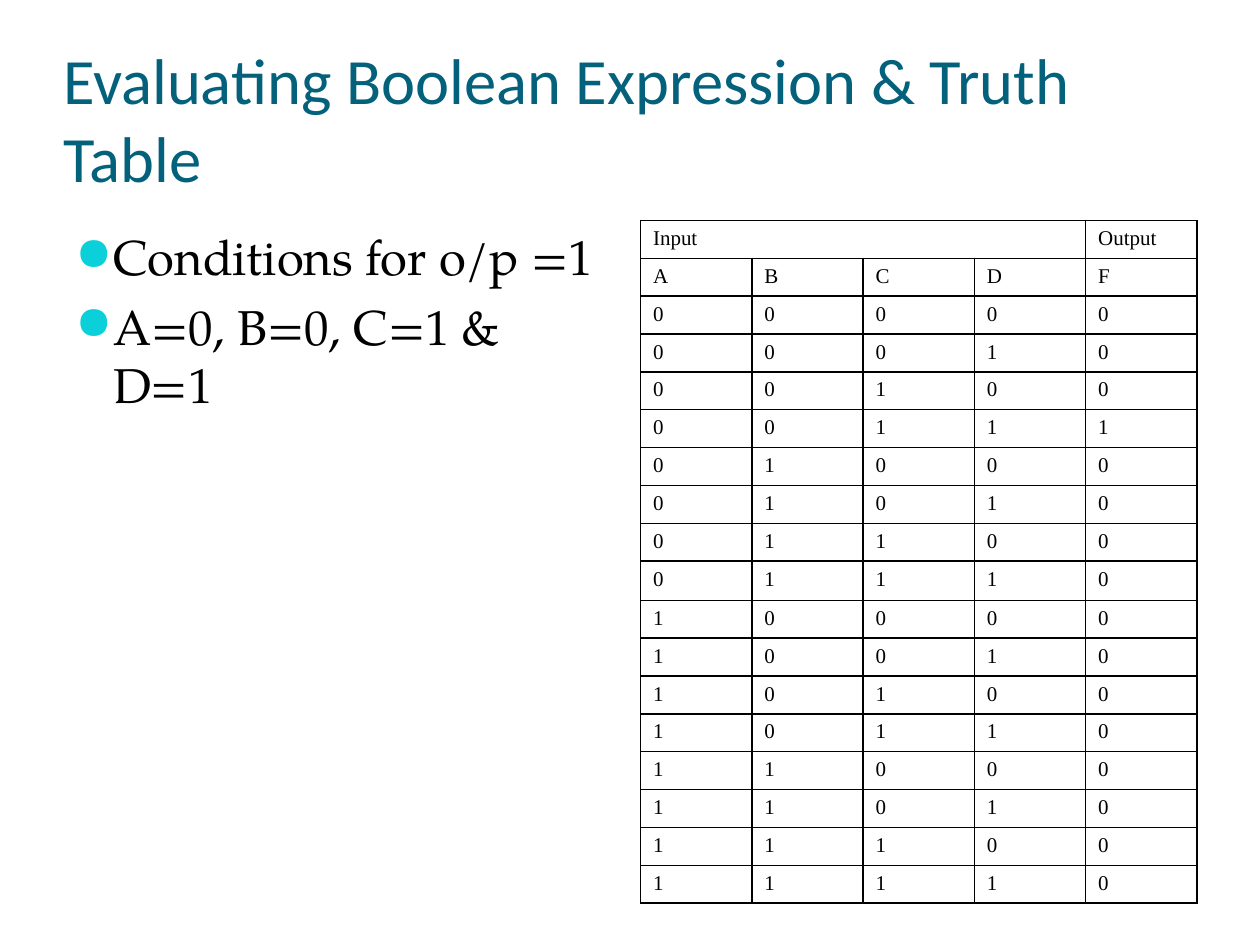
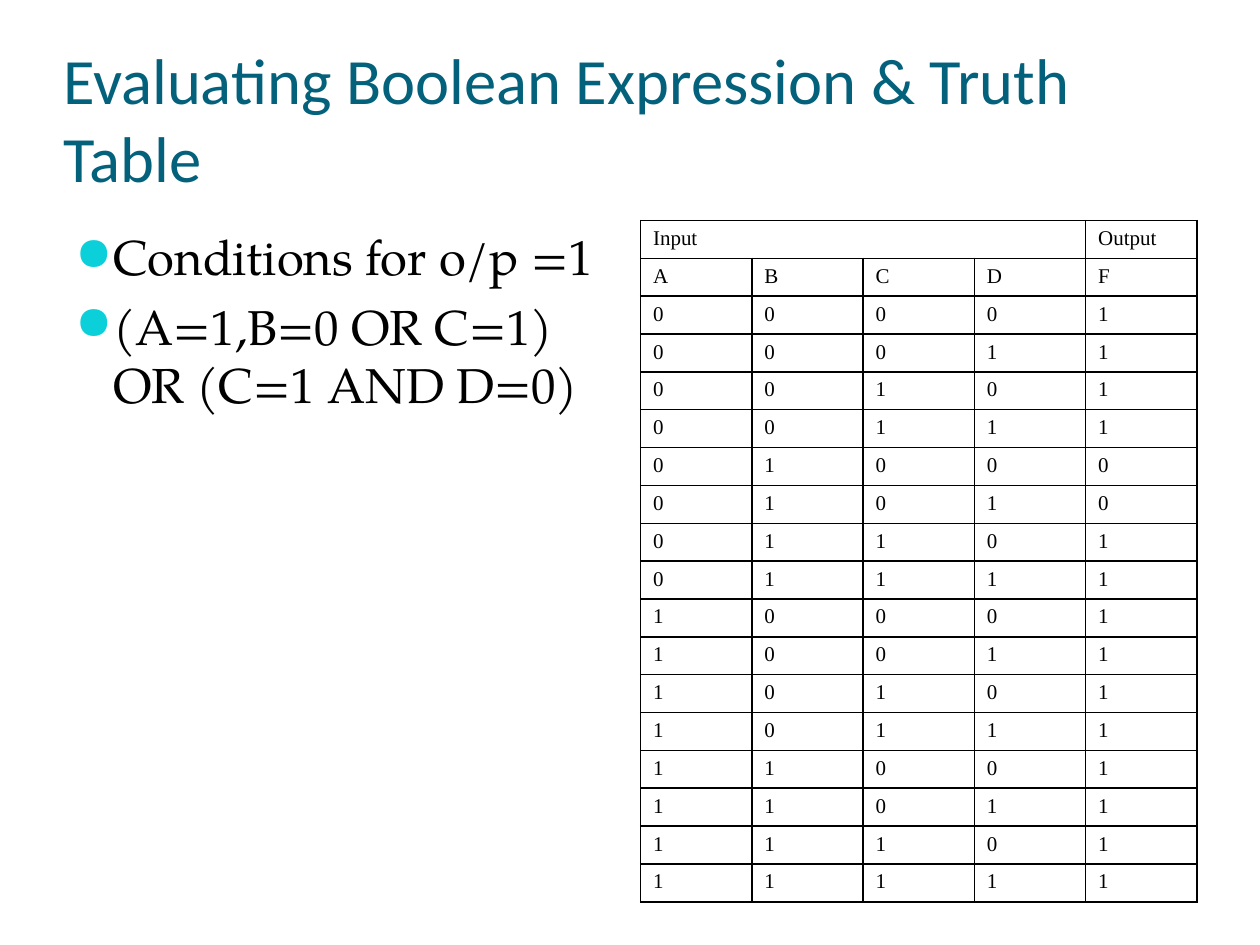
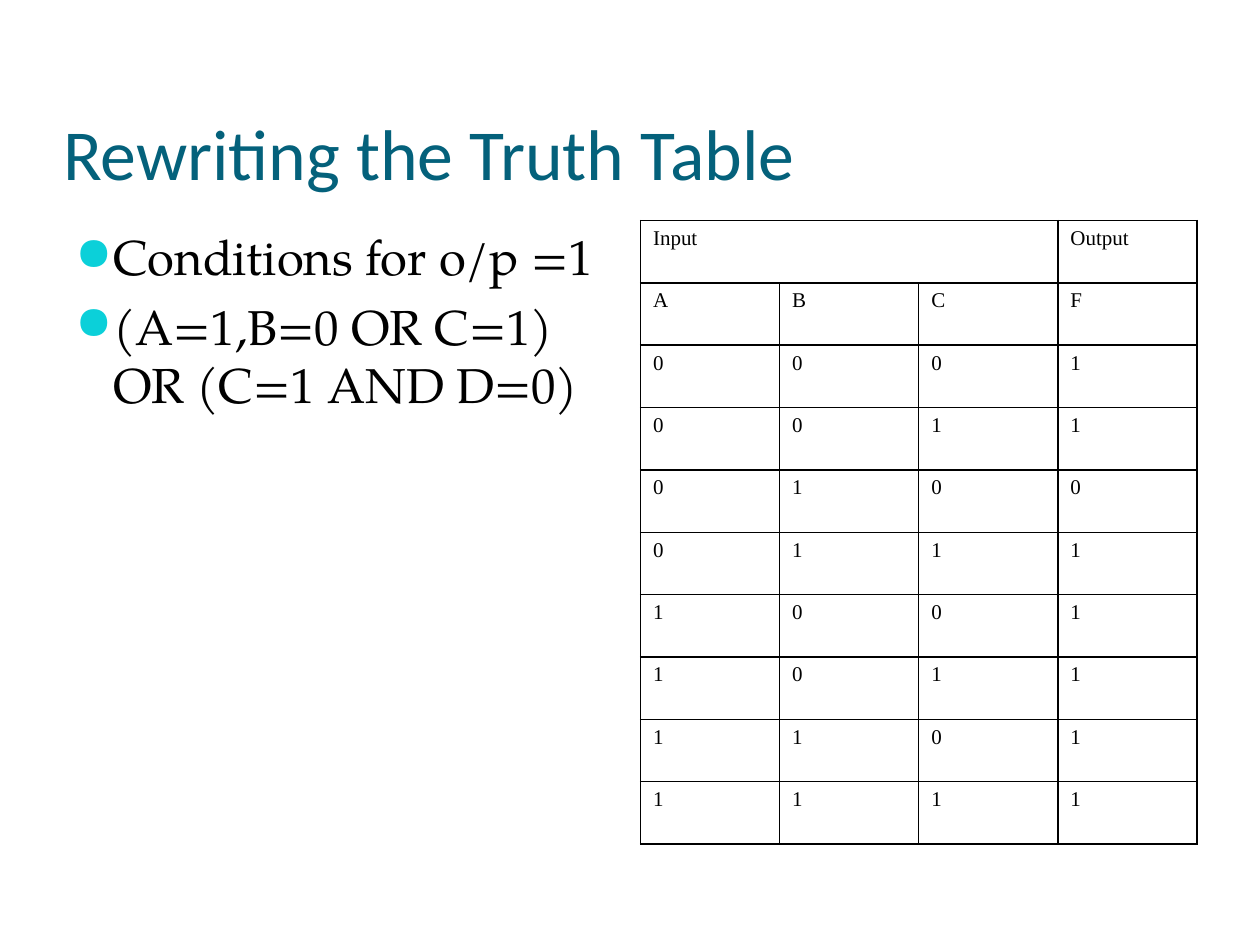
from dataclasses import dataclass
from itertools import product

from lxml import etree
from pptx import Presentation
from pptx.dml.color import RGBColor
from pptx.enum import text as en
from pptx.oxml import ns
from pptx.util import Pt


@dataclass(frozen=True)
class Theme:
    title: str = "04617B"
    ink: str = "000000"
    dot: str = "0BD0D9"
    head: str = "Calibri"
    body: str = "TeX Gyre Pagella"
    grid: str = "Times New Roman"
    big: float = 41
    fit: float = 36.9
    list: float = 28
    cell: float = 12


T = Theme()

# Content: the outputs follow the inputs in counting order
EVAL = "Evaluating Boolean Expression & Truth Table"
COND = "Conditions for o/p =1"
RULE = "(A=1,B=0 OR C=1) OR (C=1 AND D=0)"
SLIDES = [
    dict(title=EVAL, size=T.fit, points=[COND, "A=0, B=0, C=1 & D=1"],
         names="ABCD", out="0001000000000000", tall={9: 22.4}, high=389.5),
    dict(title=EVAL, size=T.fit, points=[COND, RULE],
         names="ABCD", out="1111001111111111", tall={}, high=388.8),
    dict(title="Rewriting the Truth Table", size=T.big, points=[COND, RULE],
         names="ABC", out="11011111", tall={}, high=356.4),
]

# Places: left, top, width, height
HEAD = (36, 21.6, 648, 90)
LIST = (36, 126, 318, 356.4)
GRID = (366, 126, 318, 356.4)


def write(frame, lines, font, size, color, align=en.PP_ALIGN.LEFT,
          before=0, bullet=False):
    """Fill a text frame with one paragraph for each line."""
    for i, line in enumerate(lines):
        par = frame.paragraphs[0] if i == 0 else frame.add_paragraph()
        par.alignment = align
        par.space_before = Pt(before)
        run = par.add_run()
        run.text = line
        run.font.name = font
        run.font.size = Pt(size)
        run.font.color.rgb = RGBColor.from_string(color)
        if bullet:
            mark(par)


def add(parent, tag, **attrs):
    return etree.SubElement(parent, ns.qn(tag), **attrs)


def mark(par):
    """Give a paragraph a hanging round bullet."""
    prop = par._p.get_or_add_pPr()
    prop.set("marL", str(Pt(21.6)))
    prop.set("indent", str(Pt(-21.6)))
    add(add(prop, "a:buClr"), "a:srgbClr", val=T.dot)
    add(prop, "a:buSzPct", val="95000")
    add(prop, "a:buChar", char="●")


def border(cell):
    """Draw a thin line on each side of a cell."""
    prop = cell._tc.get_or_add_tcPr()
    for i, side in enumerate("LRTB"):
        line = etree.Element(ns.qn("a:ln" + side), w=str(Pt(1)))
        add(add(line, "a:solidFill"), "a:srgbClr", val=T.ink)
        prop.insert(i, line)


def add_title(slide, words, size):
    box = slide.shapes.title
    box.left, box.top, box.width, box.height = map(Pt, HEAD)
    frame = box.text_frame
    frame.word_wrap = True
    frame.auto_size = en.MSO_AUTO_SIZE.NONE
    frame.vertical_anchor = en.MSO_ANCHOR.BOTTOM
    frame.margin_left = frame.margin_right = frame.margin_bottom = 0
    frame.margin_top = Pt(3.6)
    write(frame, [words], T.head, size, T.title)


def add_list(slide, points):
    frame = slide.shapes.add_textbox(*map(Pt, LIST)).text_frame
    frame.word_wrap = True
    write(frame, points, T.body, T.list, T.ink, before=6, bullet=True)


def add_truth(slide, names, out, tall, high):
    """Add a truth table with all input combinations."""
    count = len(names)
    rows = [["Input"] + [""] * (count - 1) + ["Output"], [*names, "F"]]
    rows += [[*bits, res] for bits, res in zip(product("01", repeat=count), out)]
    shape = slide.shapes.add_table(len(rows), count + 1, *map(Pt, GRID))
    table = shape.table
    table.first_row = table.horz_banding = False
    table.cell(0, 0).merge(table.cell(0, count - 1))
    for col in table.columns:
        col.width = Pt(GRID[2] / (count + 1))
    for r, row in enumerate(rows):
        table.rows[r].height = Pt(tall.get(r, GRID[3] / len(rows)))
        for c, word in enumerate(row):
            cell = table.cell(r, c)
            cell.fill.background()
            if not cell.is_spanned:
                border(cell)
                write(cell.text_frame, [word], T.grid, T.cell, T.ink,
                      align=en.PP_ALIGN.JUSTIFY)
    shape.height = Pt(high)


def main():
    deck = Presentation()
    deck.slide_width, deck.slide_height = Pt(720), Pt(540)
    for item in SLIDES:
        slide = deck.slides.add_slide(deck.slide_layouts[5])
        add_title(slide, item["title"], item["size"])
        add_list(slide, item["points"])
        add_truth(slide, item["names"], item["out"], item["tall"], item["high"])
    deck.save("out.pptx")


if __name__ == "__main__":
    main()
